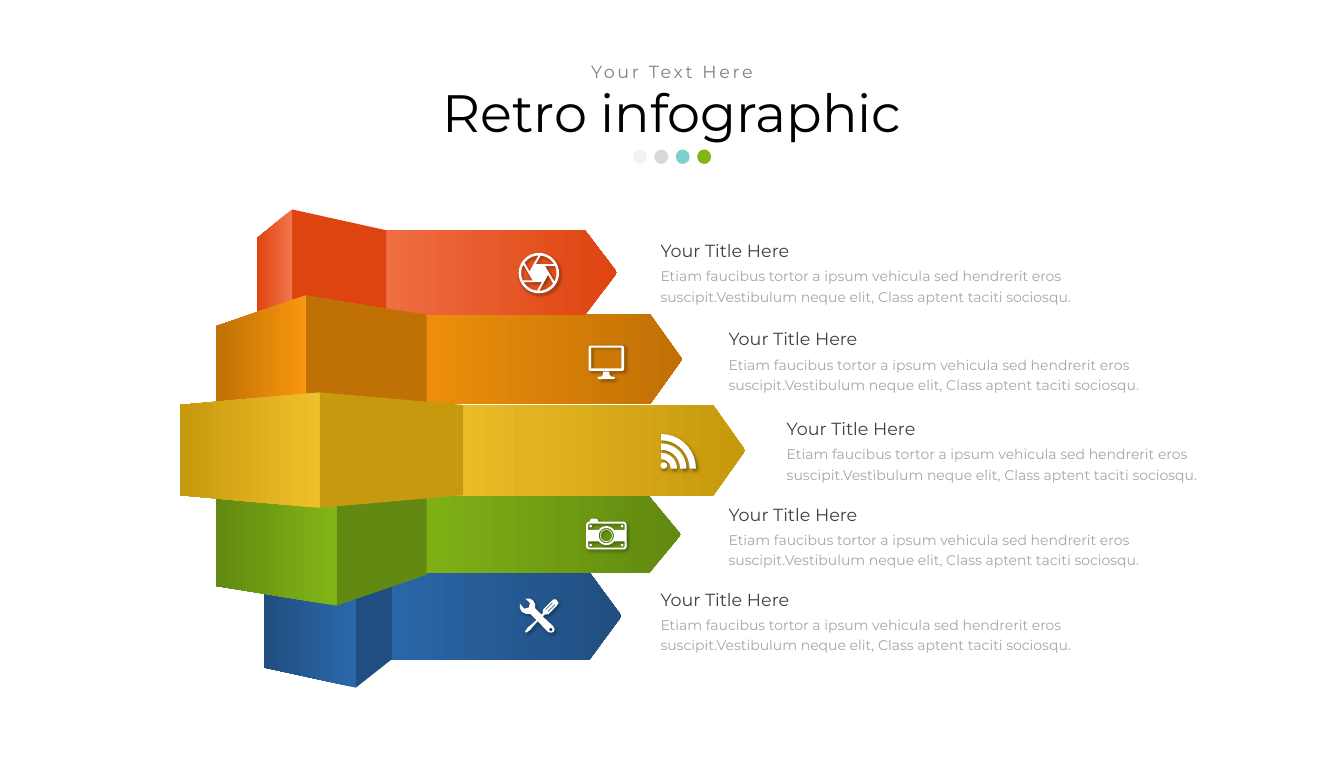
import math

import pptx
import pptx.dml.color
import pptx.enum.shapes
import pptx.enum.text
import pptx.oxml
import pptx.oxml.ns
import pptx.util
from pptx.util import Inches

SHAPE = pptx.enum.shapes.MSO_SHAPE
ALIGN = pptx.enum.text.PP_ALIGN
ANCHOR = pptx.enum.text.MSO_ANCHOR
FONT = "Montserrat"
COLORS = {
    "black": "000000", "white": "FFFFFF", "subtitle": "808080",
    "heading": "404040", "body": "A6A6A6",
    "dot1": "F2F2F2", "dot2": "D9D9D9", "dot3": "00A39B", "dot4": "82B617",
    "red": "F2754B", "red_dark": "DE4410",
    "orange": "F9960E", "orange_dark": "C07105",
    "yellow": "F0C02B", "yellow_dark": "C6990E",
    "green": "82B617", "green_dark": "628911",
    "blue": "2B68AB", "blue_dark": "204E80",
}
BODY = ("Etiam faucibus tortor a ipsum vehicula sed hendrerit eros "
        "suscipit.Vestibulum neque elit, Class aptent taciti sociosqu.")


def rgb(name):
    return pptx.dml.color.RGBColor.from_string(COLORS[name])


def add_xml(parent, tag, body="", **attrs):
    attributes = " ".join(f'{k}="{v}"' for k, v in attrs.items())
    parent.append(pptx.oxml.parse_xml(
        f'<a:{tag} {pptx.oxml.ns.nsdecls("a")} {attributes}>{body}</a:{tag}>'))


def paint(sp, color, end=None, angle=0, alpha=None):
    """Fill with one colour, or with a gradient from color to end."""
    sp.shadow.inherit = False
    sp.line.fill.background()
    if end:
        sp.fill.gradient()
        sp.fill.gradient_angle = angle
        for stop, name in zip(sp.fill.gradient_stops, (color, end)):
            stop.color.rgb = rgb(name)
    else:
        sp.fill.solid()
        sp.fill.fore_color.rgb = rgb(color)
    if alpha:
        clr = sp._element.spPr.find(".//" + pptx.oxml.ns.qn("a:srgbClr"))
        add_xml(clr, "alpha", val=alpha * 1000)


def write(sp, text, size, color, align=ALIGN.LEFT, spacing=1.2, anchor=ANCHOR.TOP,
          tracking=0, grow=False):
    tf = sp.text_frame
    tf.word_wrap = True
    tf.vertical_anchor = anchor
    kind = pptx.enum.text.MSO_AUTO_SIZE
    tf.auto_size = kind.SHAPE_TO_FIT_TEXT if grow else kind.NONE
    p = tf.paragraphs[0]
    p.alignment, p.line_spacing = align, spacing
    r = p.add_run()
    r.text = text
    r.font.name, r.font.size = FONT, pptx.util.Pt(size)
    r.font.color.rgb = rgb(color)
    if tracking:
        r._r.get_or_add_rPr().set("spc", str(tracking * 100))


def outline(s, x, y, contours):
    """Draw closed contours, given in inches from (x, y), as one shape."""
    def place(points):
        return [(Inches(x + px), Inches(y + py)) for px, py in points]

    first, *rest = map(place, contours)
    fb = s.shapes.build_freeform(*first[0])
    fb.add_line_segments(first[1:], close=True)
    for points in rest:
        fb.move_to(*points[0])
        fb.add_line_segments(points[1:], close=True)
    return fb.convert_to_shape()


def arc(cx, cy, r, start=0, end=360):
    steps = max(4, abs(end - start) // 10)
    angles = [math.radians(start + (end - start) * i / steps) for i in range(steps + 1)]
    return [(cx + r * math.cos(a), cy + r * math.sin(a)) for a in angles]


def rounded(x, y, w, h, r):
    corners = ((x + w - r, y + h - r), (x + r, y + h - r), (x + r, y + r), (x + w - r, y + r))
    return [pt for i, (cx, cy) in enumerate(corners)
            for pt in arc(cx, cy, r, 90 * i, 90 * i + 90)]


def rect(x, y, w, h):
    return [(x, y), (x + w, y), (x + w, y + h), (x, y + h)]


def aperture_icon():
    blades = [arc(0.32, 0.32, 0.28, a + 36, a + 89) + arc(0.32, 0.32, 0.15, a + 11, a + 11)[:1]
              for a in range(0, 360, 60)]
    return [arc(0.32, 0.32, 0.32)] + blades


def monitor_icon():
    stand = [(0.23, 0.41), (0.33, 0.41), (0.33, 0.46), (0.36, 0.49), (0.4, 0.49),
             (0.42, 0.51), (0.4, 0.53), (0.16, 0.53), (0.14, 0.51), (0.16, 0.49),
             (0.2, 0.49), (0.23, 0.46)]
    return [rounded(0, 0, 0.56, 0.4, 0.03), rect(0.04, 0.03, 0.48, 0.33), stand]


def feed_icon():
    waves = [arc(0.01, 0.56, r, 0, -90) + arc(0.01, 0.56, r - 0.1, -90, 0)
             for r in (0.25, 0.4, 0.55)]
    return waves + [arc(0.05, 0.51, 0.05)]


def camera_icon():
    cx, cy = 0.32, 0.27
    body = (arc(0.59, 0.44, 0.05, 0, 90) + arc(0.05, 0.44, 0.05, 90, 180)
            + arc(0.05, 0.1, 0.05, 180, 270) + arc(0.1, 0.04, 0.04, 180, 270)
            + arc(0.15, 0.04, 0.04, 270, 360) + [(0.19, 0.05)]
            + arc(0.59, 0.1, 0.05, 270, 360))
    top = ([(0.03, 0.18)] + arc(0.06, 0.11, 0.03, 180, 270) + arc(0.58, 0.11, 0.03, 270, 360)
           + [(0.61, 0.18)] + arc(cx, cy, 0.15, -37, -143))
    bottom = [(x, 2 * cy - y) for x, y in top]
    lens = [arc(cx, cy, r) for r in (0.12, 0.1, 0.09)]
    screws = [arc(x, y, 0.02) for x in (0.07, 0.57) for y in (0.12, 0.42)]
    return [body, top, bottom] + lens + screws


def tools_icon():
    body = [(0.58, 0.02), (0.54, 0.02), (0.52, 0.04), (0.38, 0.18), (0.37, 0.22),
            (0.38, 0.23), (0.35, 0.26), (0.25, 0.16), (0.25, 0.1), (0.22, 0.04),
            (0.17, 0.01), (0.1, 0.01), (0.17, 0.08), (0.15, 0.15), (0.08, 0.17),
            (0.01, 0.09), (0.01, 0.16), (0.04, 0.22), (0.1, 0.25), (0.17, 0.25),
            (0.27, 0.35), (0.17, 0.44), (0.14, 0.46), (0.09, 0.53), (0.11, 0.55),
            (0.18, 0.5), (0.2, 0.47), (0.29, 0.37), (0.46, 0.54), (0.5, 0.55),
            (0.54, 0.54), (0.56, 0.5), (0.54, 0.45), (0.37, 0.29), (0.41, 0.26),
            (0.46, 0.26), (0.6, 0.12), (0.6, 0.1), (0.62, 0.1), (0.62, 0.07)]
    grooves = [[(x, y), (x - 0.01, y - 0.01), (x + 0.1, y - 0.12), (x + 0.11, y - 0.11)]
               for x, y in ((0.46, 0.22), (0.42, 0.19))]
    return [body] + grooves + [arc(0.5, 0.5, 0.025)]


def add_icon(s, x, y, contours):
    sp = outline(s, x, y, contours)
    paint(sp, "white")
    effects = sp._element.spPr.find(pptx.oxml.ns.qn("a:effectLst"))
    add_xml(effects, "outerShdw", '<a:srgbClr val="000000"><a:alpha val="40000"/></a:srgbClr>',
            blurRad=pptx.util.Pt(4), dist=pptx.util.Pt(3), dir=45 * 60000)


def add_arrow(s, color, x, y, w, h):
    sp = s.shapes.add_shape(SHAPE.PENTAGON, Inches(x), Inches(y), Inches(w), Inches(h))
    sp.adjustments[0] = 0.51 / h
    paint(sp, color, end=color + "_dark")


def add_block(s, color, left, fold, right):
    """Draw two faces; each edge is (x, top, bottom)."""
    for edge, light in ((left, True), (right, False)):
        (x1, t1, b1), (x2, t2, b2) = edge, fold
        sp = outline(s, 0, 0, [[(x1, t1), (x2, t2), (x2, b2), (x1, b1)]])
        if light:
            paint(sp, color, end=color + "_dark", angle=180)
        else:
            paint(sp, color + "_dark")


def add_caption(s, x, y):
    for text, top, w, h, size, color in (("Your Title Here", y, 3.73, 0.5, 20, "heading"),
                                         (BODY, y + 0.455, 6.94, 0.75, 16, "body")):
        sp = s.shapes.add_textbox(Inches(x), Inches(top), Inches(w), Inches(h))
        write(sp, text, size, color, grow=True)


def add_header(s, x, y, w):
    sp = s.shapes.title
    sp.left, sp.top, sp.width, sp.height = Inches(x), Inches(y + 0.36), Inches(w), Inches(1.03)
    write(sp, "Retro infographic", 60, "black", ALIGN.CENTER, 0.9, ANCHOR.MIDDLE)
    sp = s.shapes.add_textbox(Inches(x + w / 2 - 3.17), Inches(y), Inches(6.34), Inches(0.35))
    write(sp, "Your Text Here", 20, "subtitle", ALIGN.CENTER, 0.9, tracking=3)
    for i, alpha in enumerate((None, 98, 50, None)):
        sp = s.shapes.add_shape(SHAPE.OVAL, Inches(x + w / 2 - 0.62 + 0.34 * i),
                                Inches(y + 1.42), Inches(0.22), Inches(0.23))
        paint(sp, f"dot{i + 1}", alpha=alpha)


def main():
    prs = pptx.Presentation()
    prs.slide_width, prs.slide_height = Inches(21.3), Inches(12)
    s = prs.slides.add_slide(prs.slide_layouts[5])
    add_header(s, 1.02, 0.95, 19.26)
    for x, y in ((10.37, 3.69), (11.45, 5.09), (12.37, 6.51), (11.45, 7.87), (10.37, 9.22)):
        add_caption(s, x, y)
    for color, *box in (("blue", 5.89, 9.07, 3.96, 1.39), ("green", 6.19, 7.86, 4.6, 1.23),
                        ("yellow", 6.67, 6.42, 5.14, 1.44), ("orange", 5.67, 4.98, 5.14, 1.43),
                        ("red", 5.48, 3.65, 4.3, 1.34)):
        add_arrow(s, color, *box)
    for color, *edges in (
            ("red", (4.07, 3.78, 5.51), (4.63, 3.32, 5.7), (6.12, 3.65, 5.51)),
            ("orange", (3.43, 5.17, 6.47), (4.85, 4.68, 6.64), (6.76, 4.99, 6.47)),
            ("blue", (4.18, 8.71, 10.58), (5.64, 8.52, 10.9), (6.21, 9.29, 10.45)),
            ("green", (3.43, 7.81, 9.29), (5.34, 7.64, 9.6), (6.76, 7.81, 9.11)),
            ("yellow", (2.85, 6.42, 7.85), (5.07, 6.22, 8.05), (7.34, 6.42, 7.85))):
        add_block(s, color, *edges)
    for x, y, icon in ((8.22, 4.01, aperture_icon), (9.33, 5.48, monitor_icon),
                       (10.47, 6.87, feed_icon), (9.29, 8.22, camera_icon),
                       (8.23, 9.48, tools_icon)):
        add_icon(s, x, y, icon())
    prs.save("out.pptx")


if __name__ == "__main__":
    main()
